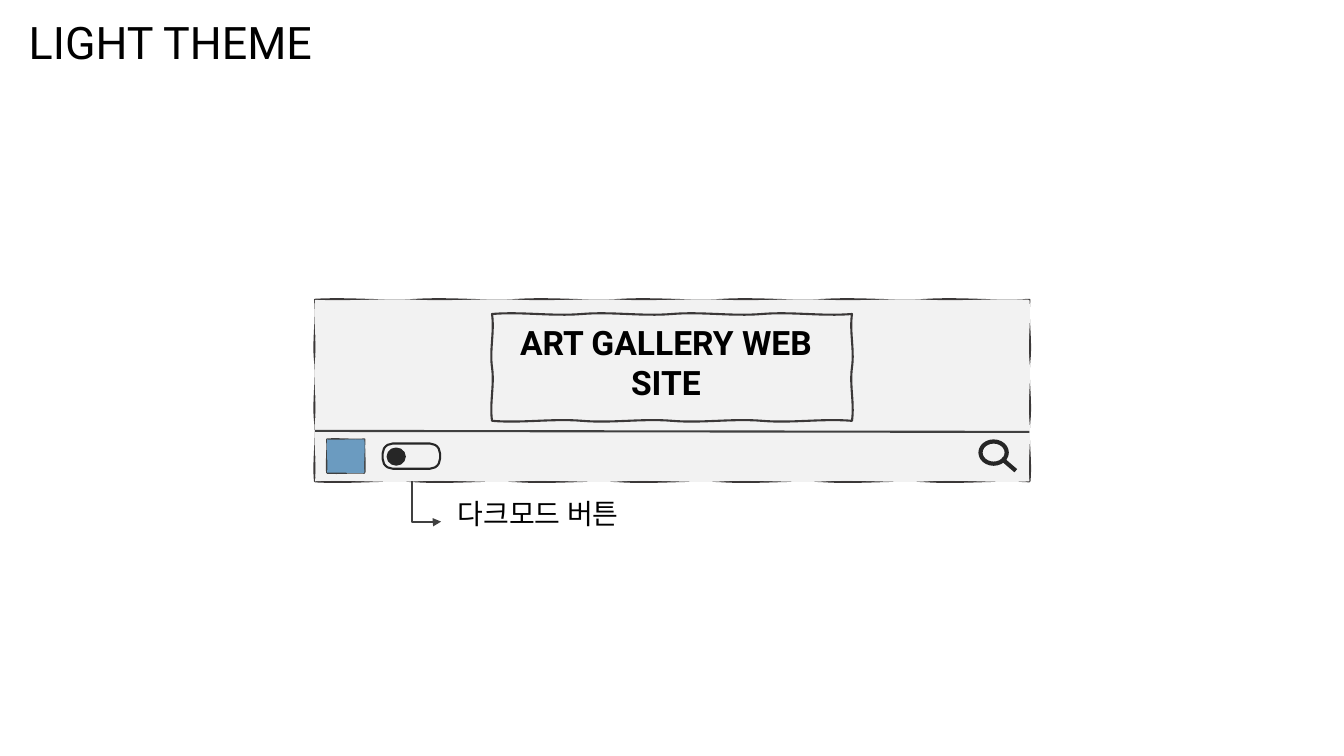
from copy import deepcopy
from lxml import etree
from pptx import Presentation
from pptx import util as u
from pptx.dml import color
from pptx.enum import shapes, text
from pptx.oxml import ns

CELL = u.Inches(0.1)
DARK = "404040"
INK = "262626"
EDGE = "3B3838"


def grid(*vals):
    return [round(v * CELL) for v in vals]


def paint(part, hue):
    part.solid()
    part.fore_color.rgb = color.RGBColor.from_string(hue)


def style(shape, fill, line, width=1.5):
    shape.shadow.inherit = False
    if fill:
        paint(shape.fill, fill)
    else:
        shape.fill.background()
    paint(shape.line.fill, line)
    shape.line.width = u.Pt(width)


def wave(x, y, w, h, cols, rows, sway):
    ends = [(x, y), (x + w, y), (x + w, y + h), (x, y + h), (x, y)]
    dots = [grid(x, y)]
    for i, bends in enumerate((cols, rows, cols, rows)):
        (ax, ay), (bx, by) = ends[i:i + 2]
        dx, dy = (bx - ax) / bends, (by - ay) / bends
        off = (0, sway) if dx else (sway, 0)
        for k in range(bends):
            for share, side in ((1 / 3, -1), (2 / 3, 1), (1, 0)):
                dots.append(grid(ax + dx * (k + share) + side * off[0],
                                 ay + dy * (k + share) + side * off[1]))
    return dots


def bend(trace):
    legs = trace.findall(ns.qn("a:lnTo"))
    for i in range(0, len(legs), 3):
        curve = etree.Element(ns.qn("a:cubicBezTo"))
        legs[i].addprevious(curve)
        for leg in legs[i:i + 3]:
            curve.append(leg[0])
            trace.remove(leg)


def sketch(slide, box, cols, rows, sway, fill, line):
    rim = wave(*box, cols, rows, sway)
    pen = slide.shapes.build_freeform(*rim[0])
    pen.add_line_segments(rim[1:])
    shape = pen.convert_to_shape()
    style(shape, fill, line)
    trace = shape.element.find(".//" + ns.qn("a:pathLst"))[0]
    bend(trace)
    if fill:
        core = deepcopy(trace)
        trace.addnext(core)
        trace.set("fill", "none")
        core.set("stroke", "0")
        for curve in core.findall(ns.qn("a:cubicBezTo")):
            first, last = curve[0], curve[1]
            for axis in "xy":
                a, b = int(first.get(axis)), int(last.get(axis))
                if abs(a - b) <= round(2 * sway * CELL) + 2:
                    first.set(axis, str(b))
                    last.set(axis, str(a))


def disc(slide, kind, box, fill, width=1.5):
    shape = slide.shapes.add_shape(kind, *grid(*box))
    style(shape, fill, INK, width)
    return shape


def stroke(slide, ends, hue, width=1.5, kind=shapes.MSO_CONNECTOR.STRAIGHT):
    line = slide.shapes.add_connector(kind, *grid(*ends))
    paint(line.line.fill, hue)
    line.line.width = u.Pt(width)
    etree.SubElement(line.element.spPr, ns.qn("a:effectLst"))
    return line


def write(shape, words, size, face, align, bold=False):
    frame = shape.text_frame
    frame.word_wrap = True
    frame.auto_size = text.MSO_AUTO_SIZE.NONE
    frame.vertical_anchor = text.MSO_ANCHOR.TOP
    frame.text = words
    para = frame.paragraphs[0]
    para.alignment = align
    font = para.runs[0].font
    font.size, font.name, font.bold = u.Pt(size), face, bold
    paint(font.fill, "000000")
    props = para.runs[0]._r.get_or_add_rPr()
    etree.SubElement(props, ns.qn("a:ea"), typeface=face)


def title(slide, x, y, w, h):
    head = slide.shapes.title
    head.left, head.top, head.width, head.height = grid(x, y, w, h)
    write(head, "LIGHT THEME", 32, "Roboto", text.PP_ALIGN.LEFT)


def banner(slide, x, y, w, h):
    sketch(slide, (x, y, w, h), 7, 3, 0.2, "F2F2F2", EDGE)
    name = slide.shapes.add_textbox(*grid(x + 18.6, y + 1.7, 32.4, 11.2))
    write(name, "ART GALLERY WEB SITE", 24, "Roboto",
          text.PP_ALIGN.CENTER, True)
    sketch(slide, (x + 17.55, y + 1.4, 35.7, 10.6), 4, 2, 0.25, None, EDGE)
    stroke(slide, (x, y + 13, x + w, y + 13.1), DARK)


def toolbar(slide, x, y):
    kinds = shapes.MSO_SHAPE
    sketch(slide, (x + 1.2, y + 0.8, 3.7, 3.3), 1, 1, 0.08, "6B9BC0", DARK)
    disc(slide, kinds.OVAL, (x + 66, y + 1, 2.6, 2.2), None, 3)
    stroke(slide, (x + 68.1, y + 2.7, x + 69.5, y + 3.9), INK, 3)
    pill = disc(slide, kinds.ROUNDED_RECTANGLE,
                (x + 6.7, y + 1.2, 5.7, 2.5), None)
    pill.adjustments[0] = 0.4
    disc(slide, kinds.OVAL, (x + 7.2, y + 1.7, 1.7, 1.6), INK)


def note(slide, x, y):
    label = slide.shapes.add_textbox(*grid(x + 3.6, y + 1.1, 30.3, 4.9))
    write(label, "다크모드 버튼", 20, "Noto Sans CJK KR", text.PP_ALIGN.LEFT)
    arrow = stroke(slide, (x - 0.5, y + 0.6, x + 3.5, y + 3.5), DARK,
                   kind=shapes.MSO_CONNECTOR.ELBOW)
    props = arrow.element.spPr
    frame = props.find(ns.qn("a:xfrm"))
    frame.set("rot", "16200000")
    frame.set("flipH", "1")
    guides = props.find(".//" + ns.qn("a:avLst"))
    etree.SubElement(guides, ns.qn("a:gd"), name="adj1", fmla="val 101400")
    etree.SubElement(props.find(ns.qn("a:ln")), ns.qn("a:tailEnd"),
                     type="triangle")


def main():
    deck = Presentation()
    deck.slide_width, deck.slide_height = u.Inches(13.33), u.Inches(7.5)
    slide = deck.slides.add_slide(deck.slide_layouts[5])
    title(slide, 1.85, 1, 42.5, 6.4)
    banner(slide, 31.25, 29.75, 70.85, 18)
    toolbar(slide, 31.25, 42.8)
    note(slide, 40.8, 47.7)
    deck.save("out.pptx")


if __name__ == "__main__":
    main()
